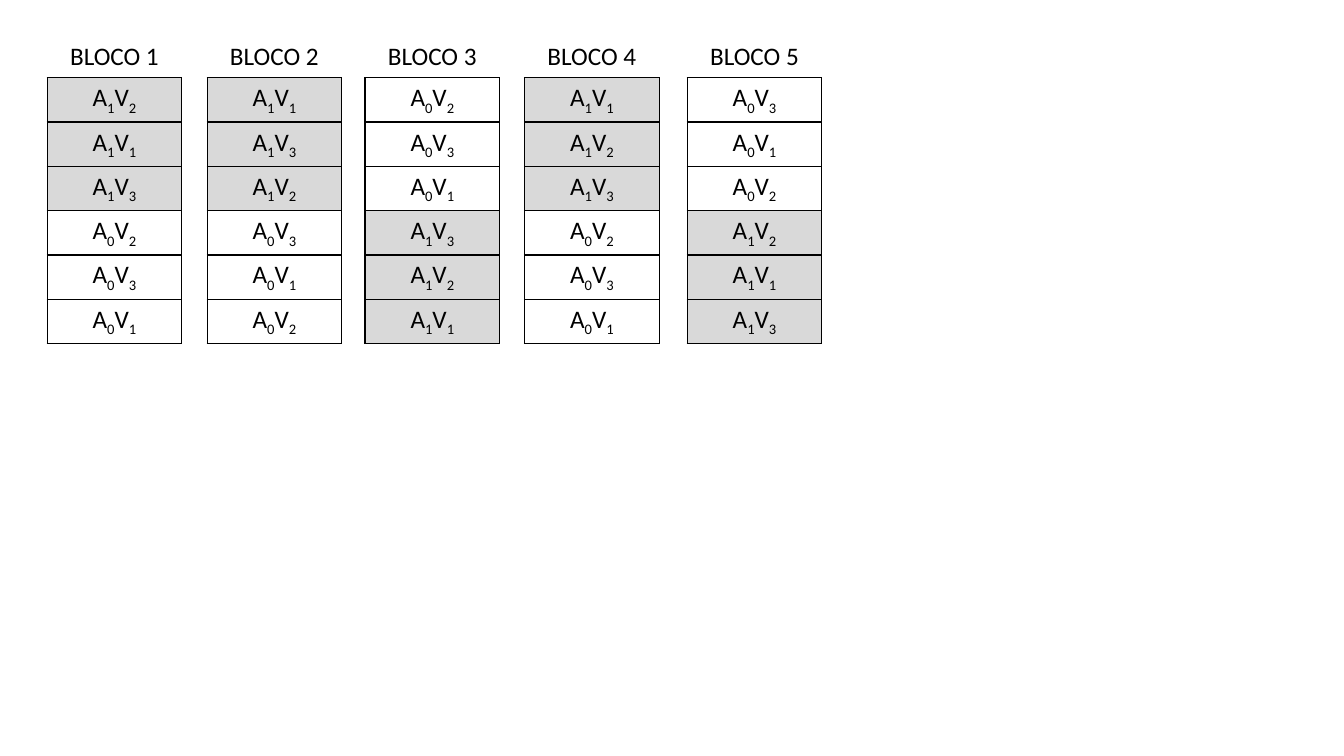
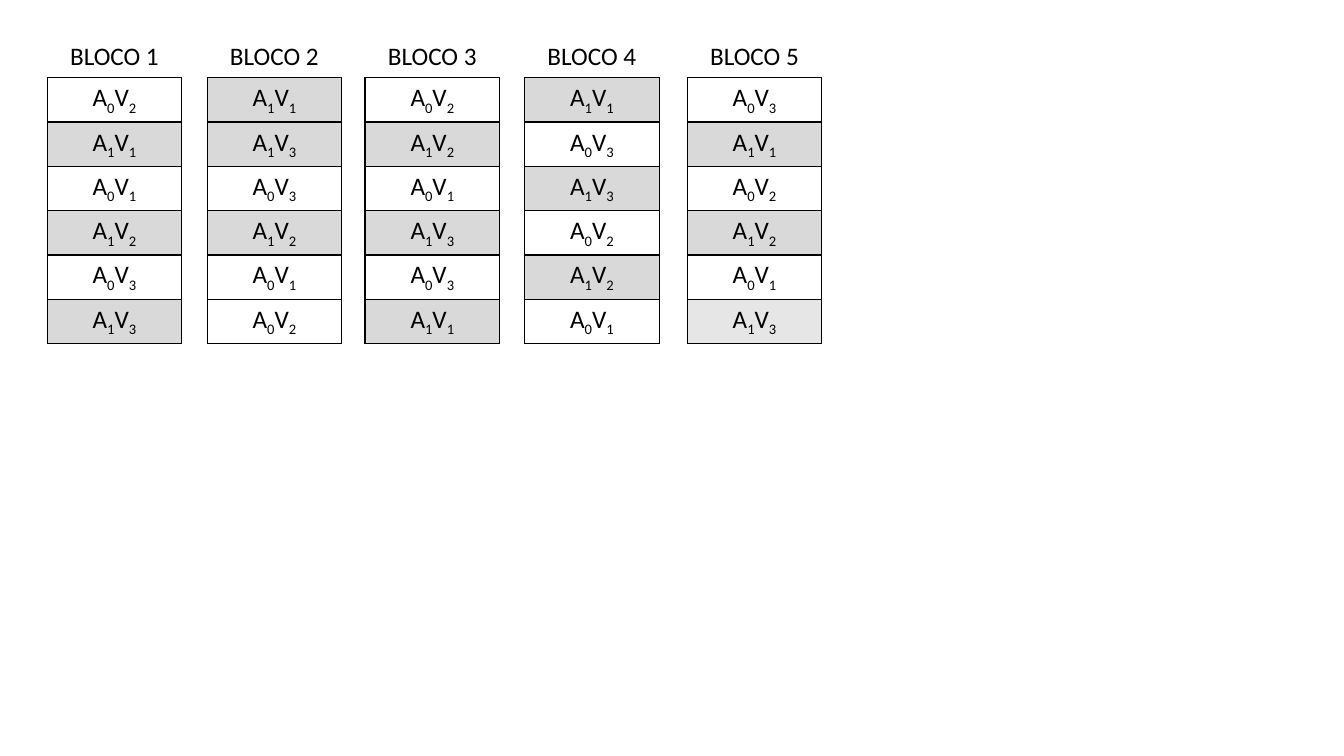
from dataclasses import dataclass

from lxml.etree import SubElement
from pptx import Presentation
from pptx.dml.color import RGBColor
from pptx.enum.text import PP_ALIGN
from pptx.oxml.ns import qn
from pptx.util import Cm, Pt


@dataclass(frozen=True)
class Theme:
    font: str = "Calibri"
    text_size: int = 18
    ink: str = "000000"
    shade: str = "D9D9D9"
    light_shade: str = "E7E6E6"
    border_width: int = 1
    plain_table_style: str = "{2D5ABB26-0587-4C30-8999-92F81FD0307C}"


theme = Theme()

BLOCK_LEFTS = [1.19, 5.22, 9.2, 13.22, 17.32]
BLOCK_TOP = 0.92
BLOCK_WIDTH = 3.39
ROW_HEIGHT = 1.04

SPLIT_PLOT = [
    "A1V2 A1V1 A1V3 A0V2 A0V3 A0V1",
    "A1V1 A1V3 A1V2 A0V3 A0V1 A0V2",
    "A0V2 A0V3 A0V1 A1V3 A1V2 A1V1",
    "A1V1 A1V2 A1V3 A0V2 A0V3 A0V1",
    "A0V3 A0V1 A0V2 A1V2 A1V1 A1V3",
]
FACTORIAL = [
    "A0V2 A1V1 A0V1 A1V2 A0V3 A1V3",
    "A1V1 A1V3 A0V3 A1V2 A0V1 A0V2",
    "A0V2 A1V2 A0V1 A1V3 A0V3 A1V1",
    "A1V1 A0V3 A1V3 A0V2 A1V2 A0V1",
    "A0V3 A1V1 A0V2 A1V2 A0V1 A1V3",
]
DESIGNS = [(SPLIT_PLOT, None), (FACTORIAL, (5, 6))]


def set_borders(cell, visible_sides):
    properties = cell._tc.get_or_add_tcPr()
    for side in "LRTB":
        if side in visible_sides:
            line = SubElement(properties, qn(f"a:ln{side}"), w=str(Pt(theme.border_width)))
            fill = SubElement(line, qn("a:solidFill"))
            SubElement(fill, qn("a:srgbClr"), val=theme.ink)
        else:
            line = SubElement(properties, qn(f"a:ln{side}"), w="0")
            SubElement(line, qn("a:noFill"))


def write_cell(cell, pieces, fill_color=None):
    paragraph = cell.text_frame.paragraphs[0]
    paragraph.alignment = PP_ALIGN.CENTER
    paragraph.font.name = theme.font
    paragraph.font.size = Pt(theme.text_size)
    paragraph.font.color.rgb = RGBColor.from_string(theme.ink)
    for piece in pieces:
        run = paragraph.add_run()
        run.text = piece
        if piece.isdigit():
            run._r.get_or_add_rPr().set("baseline", "-25000")
    if fill_color:
        cell.fill.solid()
        cell.fill.fore_color.rgb = RGBColor.from_string(fill_color)
    else:
        cell.fill.background()


presentation = Presentation()
presentation.slide_width = Cm(33.87)
presentation.slide_height = Cm(19.05)
blank_layout = presentation.slide_layouts[6]

for blocks, light_plot in DESIGNS:
    slide = presentation.slides.add_slide(blank_layout)
    for number, (left, block) in enumerate(zip(BLOCK_LEFTS, blocks), start=1):
        treatments = block.split()
        row_count = len(treatments) + 1
        frame = slide.shapes.add_table(
            row_count, 1, Cm(left), Cm(BLOCK_TOP), Cm(BLOCK_WIDTH), Cm(ROW_HEIGHT * row_count)
        )
        table = frame.table
        table.first_row = False
        table.horz_banding = False
        table._tbl.tblPr.find(qn("a:tableStyleId")).text = theme.plain_table_style

        header = table.cell(0, 0)
        set_borders(header, "B")
        write_cell(header, [f"BLOCO {number}"])

        for row, treatment in enumerate(treatments, start=1):
            fill_color = theme.shade if treatment.startswith("A1") else None
            if (number, row) == light_plot:
                fill_color = theme.light_shade
            cell = table.cell(row, 0)
            set_borders(cell, "LRTB")
            write_cell(cell, treatment, fill_color)

presentation.save("out.pptx")
